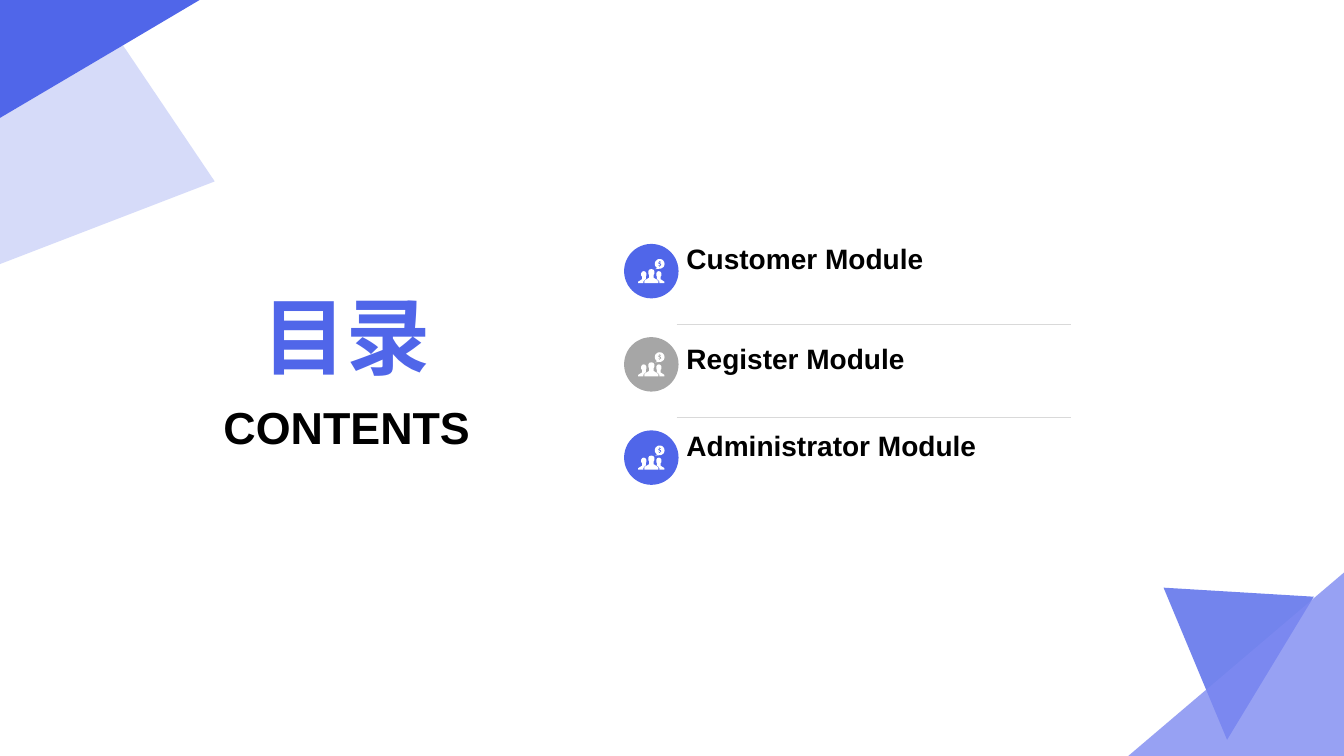
"""Build the contents slide with three module entries."""
from math import cos, pi, sin

from lxml.etree import SubElement
from pptx import Presentation
from pptx.dml.color import RGBColor
from pptx.enum.shapes import MSO_CONNECTOR, MSO_SHAPE
from pptx.enum.text import MSO_ANCHOR, PP_ALIGN
from pptx.oxml.ns import qn
from pptx.util import Inches, Pt

BLUE, GREY, BLACK, WHITE = "5066E9", "A6A6A6", "000000", "FFFFFF"
rgb = RGBColor.from_string


def add_outline(contours, color, alpha=100, left=0, top=0):
    """Draw closed contours, given in inches, as one filled shape."""
    scaled = [[((left + x) * 1000, (top + y) * 1000) for x, y in c] for c in contours]
    fb = s.shapes.build_freeform(*scaled[0][0], scale=Inches(1) / 1000)
    fb.add_line_segments(scaled[0][1:])
    for contour in scaled[1:]:
        fb.move_to(*contour[0])
        fb.add_line_segments(contour[1:])
    sp = fb.convert_to_shape()
    sp.shadow.inherit = False
    sp.line.fill.background()
    sp.fill.solid()
    sp.fill.fore_color.rgb = rgb(color)
    if alpha < 100:
        clr = sp._element.spPr.find(qn("a:solidFill")).find(qn("a:srgbClr"))
        SubElement(clr, qn("a:alpha")).set("val", str(alpha * 1000))


def add_text(text, box, size, color, anchor, align):
    """Add a wrapped text box with one bold line."""
    tf = s.shapes.add_textbox(*map(Inches, box)).text_frame
    tf.word_wrap = True
    tf.vertical_anchor = anchor
    tf.text = text
    p = tf.paragraphs[0]
    p.alignment = align
    font = p.runs[0].font
    font.name, font.size, font.bold = "Arial", Pt(size), True
    font.color.rgb = rgb(color)
    return tf


prs = Presentation()
prs.slide_width, prs.slide_height = Inches(13.33), Inches(7.5)
s = prs.slides.add_slide(prs.slide_layouts[6])

corners = [
    ([(13.03, 5.92), (12.17, 7.34), (11.54, 5.83)], BLUE, 80),
    ([(13.33, 7.5), (11.19, 7.5), (13.33, 5.68)], "7E8AF1", 80),
    ([(0, 2.62), (2.13, 1.8), (1.22, 0.45), (0, 1.17)], "96A3F2", 39),
    ([(0, 0), (0, 1.17), (1.22, 0.45), (1.98, 0)], BLUE, 100),
]
for points, color, alpha in corners:
    add_outline([points], color, alpha)

half_person = [(0.13, 0.1), (0.15, 0.105), (0.16, 0.12), (0.16, 0.145), (0.152, 0.16),
               (0.152, 0.185), (0.185, 0.205), (0.2, 0.22), (0.2, 0.24)]
left_person = [(0.055, 0.12), (0.07, 0.125), (0.08, 0.14), (0.08, 0.165), (0.075, 0.175),
               (0.075, 0.198), (0.06, 0.21), (0.05, 0.225), (0.05, 0.24), (0, 0.24),
               (0, 0.225), (0.038, 0.2), (0.038, 0.175), (0.03, 0.165), (0.03, 0.14),
               (0.04, 0.125)]
center_person = half_person + [(0.26 - x, y) for x, y in reversed(half_person)]
right_person = [(0.26 - x, y) for x, y in left_person]
arc = [pi * (0.68 + i / 12) for i in range(23)]
bubble = [(0.17, 0.1)] + [(0.213 + 0.048 * cos(a), 0.048 + 0.048 * sin(a)) for a in arc]
dollar = [(0.21, 0.018), (0.218, 0.018), (0.218, 0.024), (0.229, 0.029), (0.227, 0.035),
          (0.214, 0.032), (0.21, 0.037), (0.228, 0.049), (0.229, 0.061), (0.218, 0.07),
          (0.218, 0.077), (0.21, 0.077), (0.21, 0.071), (0.199, 0.066), (0.201, 0.06),
          (0.214, 0.063), (0.219, 0.058), (0.201, 0.046), (0.2, 0.034), (0.21, 0.025)]
icon = [left_person, right_person, center_person, bubble, dollar]

modules = [
    ("Customer Module", 2.33, BLUE),
    ("Register Module", 3.32, GREY),
    ("Administrator Module", 4.18, BLUE),
]
for i, (name, text_top, color) in enumerate(modules):
    top = 2.42 + i * 0.925
    sp = s.shapes.add_shape(MSO_SHAPE.OVAL, Inches(6.19), Inches(top), Inches(0.54), Inches(0.54))
    sp.shadow.inherit = False
    sp.line.fill.background()
    sp.fill.solid()
    sp.fill.fore_color.rgb = rgb(color)
    add_outline(icon, WHITE, left=6.33, top=top + 0.15)
    tf = add_text(name, (6.71, text_top, 3.91, 0.42), 20, BLACK, MSO_ANCHOR.MIDDLE, PP_ALIGN.LEFT)
    tf.margin_bottom = 0

for y in (3.22, 4.14):
    line = s.shapes.add_connector(
        MSO_CONNECTOR.STRAIGHT, Inches(6.71), Inches(y), Inches(10.62), Inches(y))
    line.line.color.rgb = rgb("D9D9D9")
    line.line.width = Pt(0.25)
    SubElement(line._element.spPr, qn("a:effectLst"))

add_text("目录", (2.09, 2.62, 2.7, 1.25), 60, BLUE, MSO_ANCHOR.BOTTOM, PP_ALIGN.CENTER)
add_text("CONTENTS", (2.09, 3.92, 2.7, 0.55), 32, BLACK, MSO_ANCHOR.TOP, PP_ALIGN.CENTER)

prs.save("out.pptx")
